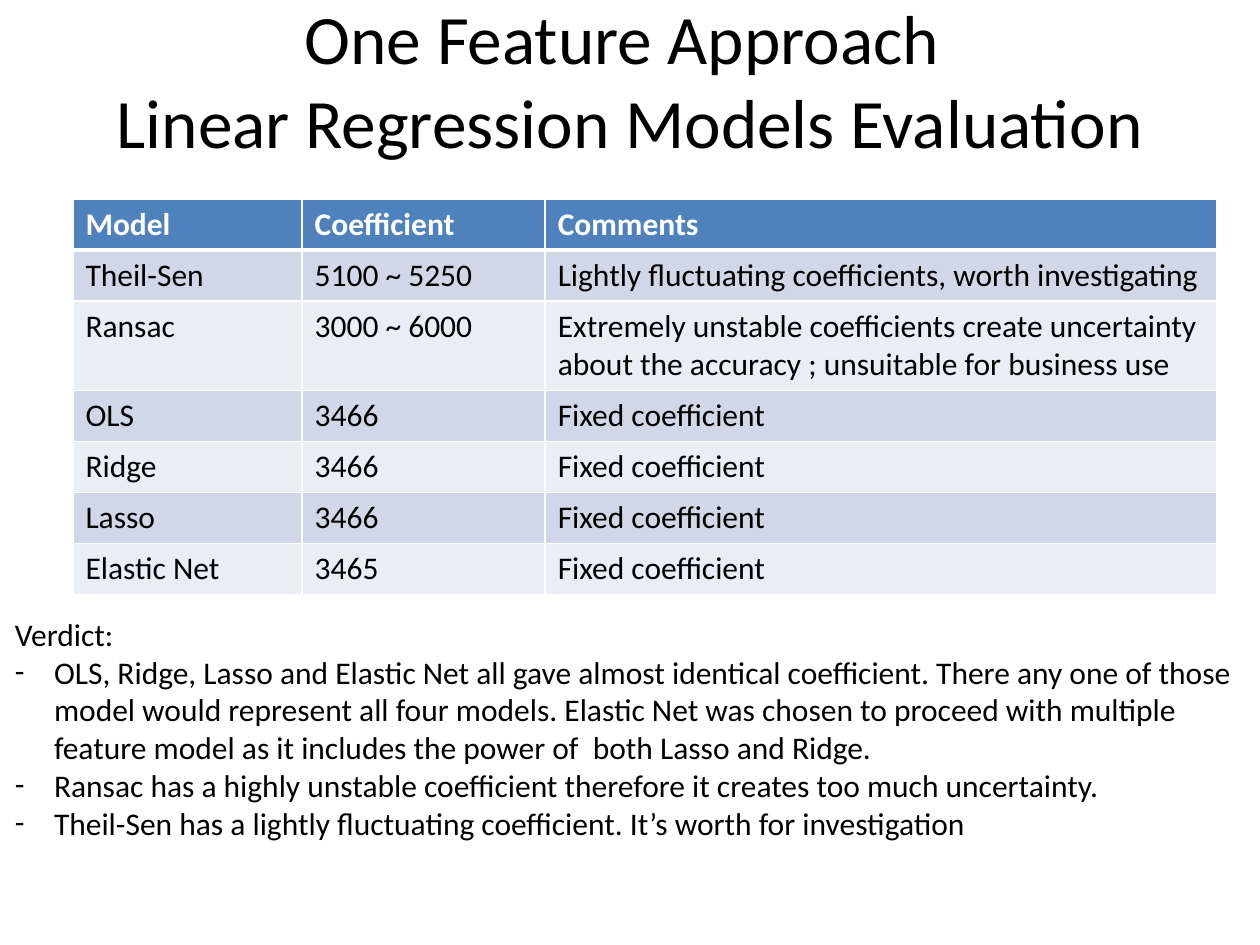
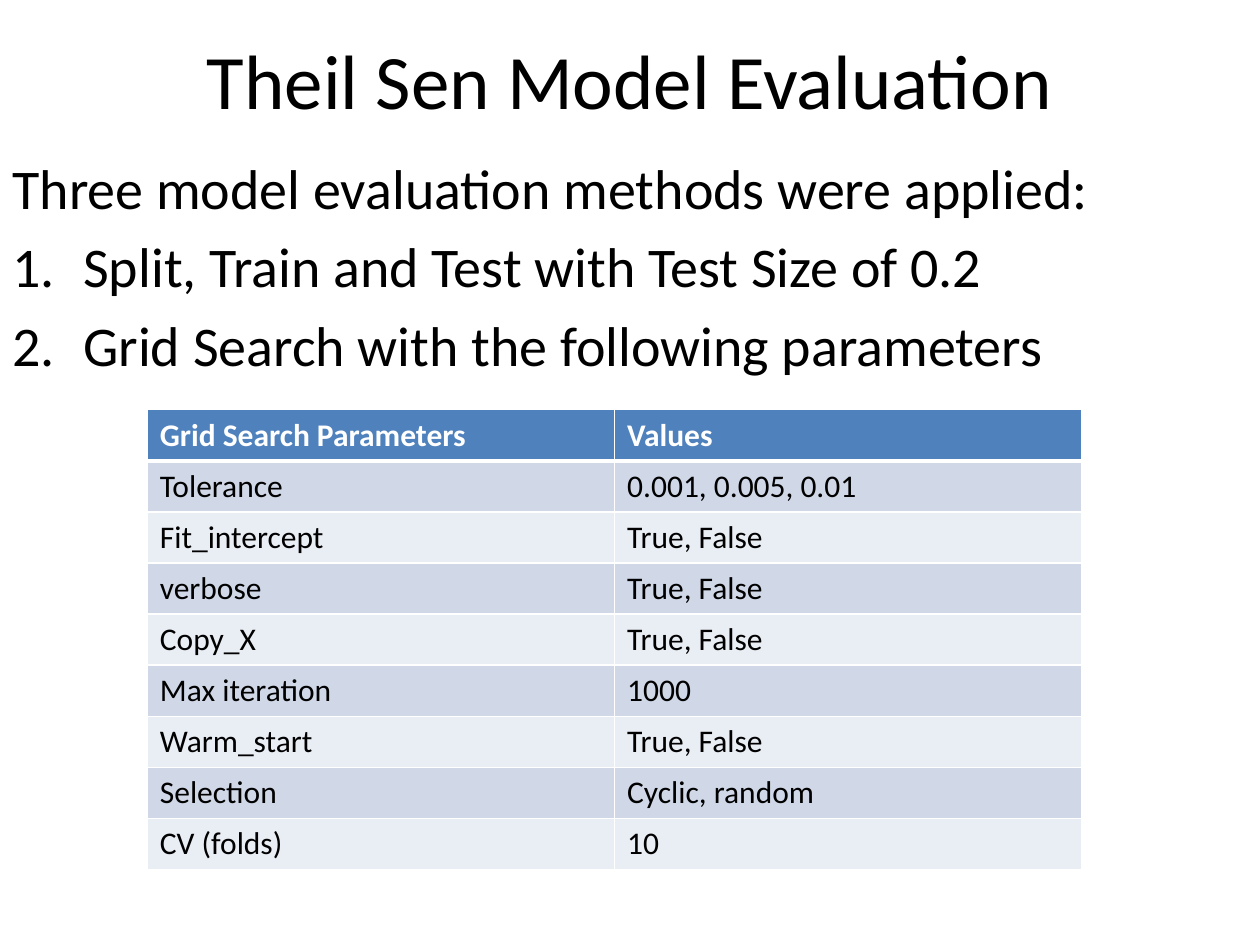
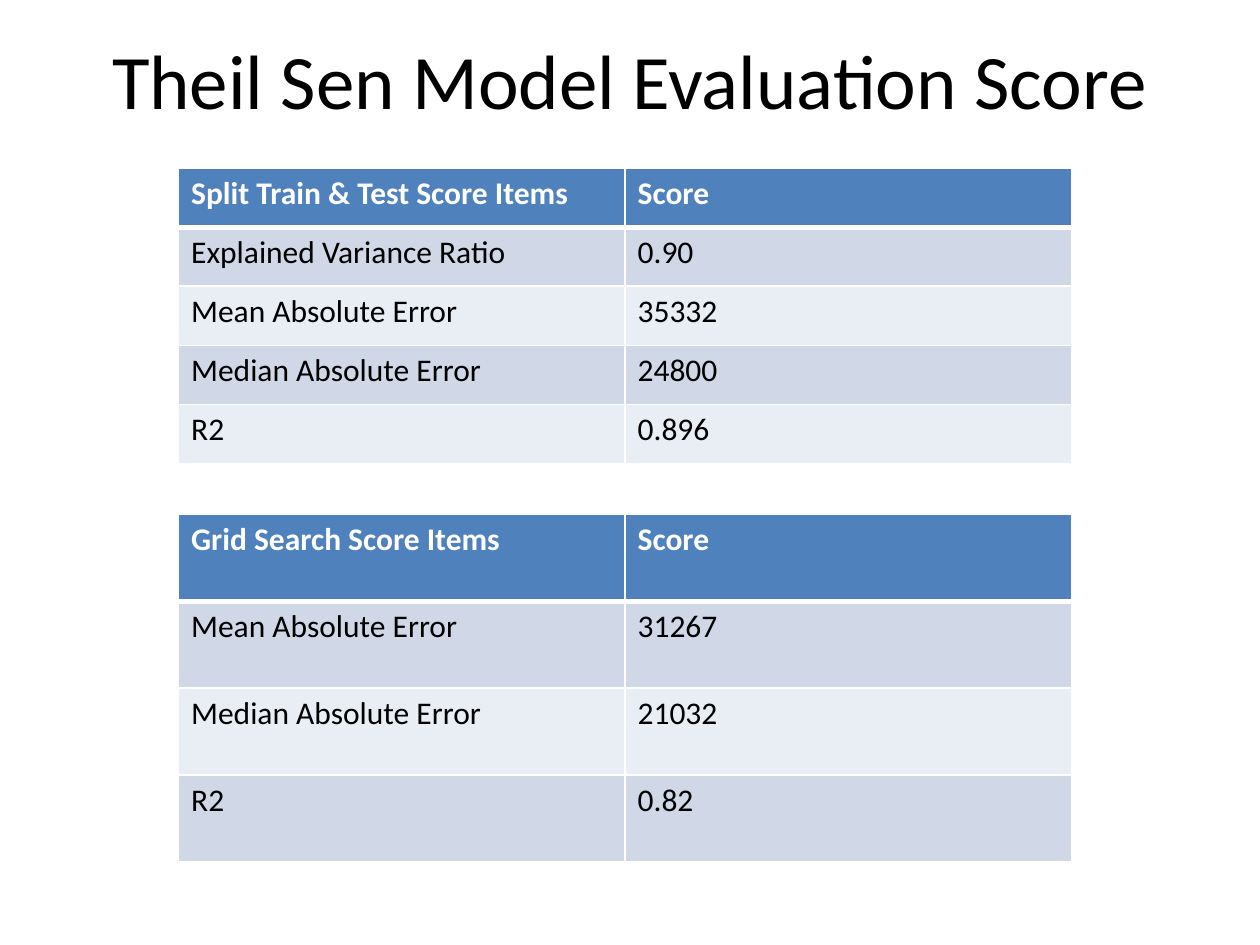
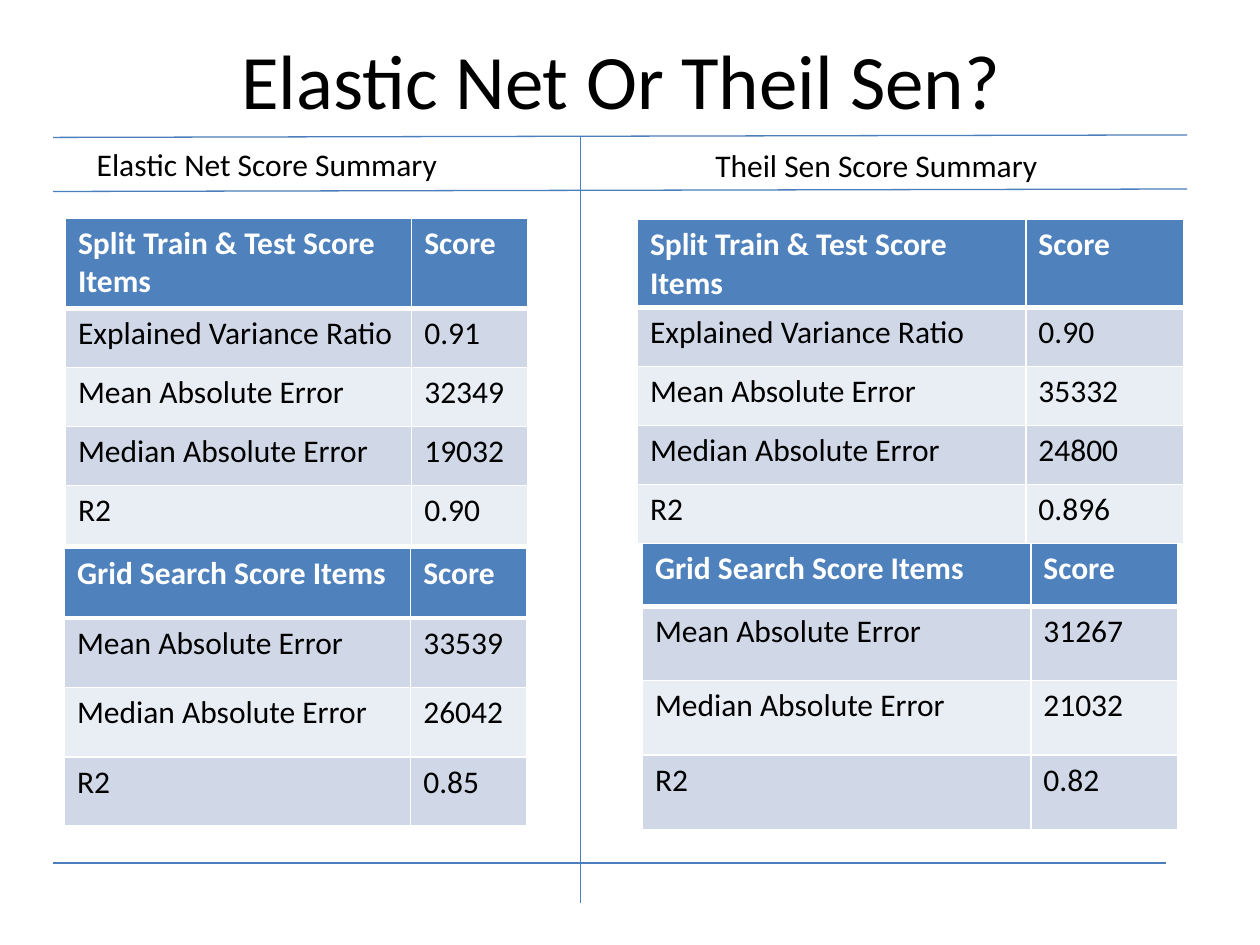
from dataclasses import dataclass
from typing import Any, Optional

import lxml.etree
import pptx
import pptx.dml.color
import pptx.enum.shapes
import pptx.enum.text
import pptx.oxml
import pptx.oxml.ns
import pptx.slide
import pptx.util
from pptx.util import Cm

Alignment = pptx.enum.text.PP_ALIGN
Anchor = pptx.enum.text.MSO_ANCHOR
AutoSize = pptx.enum.text.MSO_AUTO_SIZE


@dataclass(frozen=True)
class Theme:
    font: str = "Calibri"
    text: str = "000000"
    white: str = "FFFFFF"
    header: str = "4F81BD"
    bands: tuple[str, str] = ("D0D8E8", "E9EDF4")
    rule: str = "4B7EBC"
    title_size: float = 44
    long_title_size: float = 39.6
    body_size: float = 32
    small_size: float = 18
    border: float = 1
    header_border: float = 3
    rule_width: float = 0.75


THEME = Theme()


@dataclass(frozen=True)
class Box:
    """A place on the slide, in centimetres."""
    left: float
    top: float
    width: float
    height: float

    def lengths(self) -> tuple[int, ...]:
        return tuple(Cm(value) for value in (self.left, self.top, self.width, self.height))


@dataclass(frozen=True)
class Line:
    text: str
    bullet: Optional[str] = None
    indent: float = 0


@dataclass(frozen=True)
class TableSpec:
    """A banded table; lengths in centimetres, first row is the header."""
    left: float
    top: float
    columns: tuple[float, ...]
    rows: tuple[float, ...]
    cells: tuple[tuple[str, ...], ...]


@dataclass(frozen=True)
class Rule:
    start: tuple[float, float]
    end: tuple[float, float]


@dataclass(frozen=True)
class ModelScores:
    split: tuple[str, ...]
    grid: tuple[str, ...]


TITLE_BOX = Box(0, 0, 25.4, 3.18)
ELASTIC_NET = ModelScores(("0.91", "32349", "19032", "0.90"), ("33539", "26042", "0.85"))
THEIL_SEN = ModelScores(("0.90", "35332", "24800", "0.896"), ("31267", "21032", "0.82"))
GRID_ITEMS = ("Mean Absolute Error", "Median Absolute Error", "R2")
SPLIT_ITEMS = ("Explained Variance Ratio",) + GRID_ITEMS


def apply_format(target: Any, values: dict[str, Any]) -> None:
    for name, value in values.items():
        setattr(target, name, value)


def color(value: str) -> pptx.dml.color.RGBColor:
    return pptx.dml.color.RGBColor.from_string(value)


def add_xml(parent: Any, tag: str, **attributes: str) -> Any:
    element = lxml.etree.SubElement(parent, pptx.oxml.ns.qn(tag))
    for name, value in attributes.items():
        element.set(name, value)
    return element


def write_text(paragraph: Any, text: str, size: float, shade: str = THEME.text, bold: bool = False) -> None:
    paragraph.text = text
    for run in paragraph.runs:
        apply_format(run.font, {"name": THEME.font, "size": pptx.util.Pt(size), "bold": bold})
        run.font.color.rgb = color(shade)


def set_bullet(paragraph: Any, line: Line) -> None:
    """Give a hanging bullet; "1." means automatic numbers."""
    properties = paragraph._p.get_or_add_pPr()
    properties.set("marL", str(Cm(line.indent)))
    properties.set("indent", str(-Cm(line.indent)))
    add_xml(properties, "a:buFont", typeface=THEME.font)
    if line.bullet == "1.":
        add_xml(properties, "a:buAutoNum", type="arabicPeriod")
    else:
        add_xml(properties, "a:buChar", char=line.bullet)


def add_text(slide: pptx.slide.Slide, box: Box, lines: list[Line], size: float,
             frame_format: Optional[dict[str, Any]] = None,
             paragraph_format: Optional[dict[str, Any]] = None) -> None:
    frame = slide.shapes.add_textbox(*box.lengths()).text_frame
    apply_format(frame, {"word_wrap": True} | (frame_format or {}))
    for index, line in enumerate(lines):
        paragraph = frame.add_paragraph() if index else frame.paragraphs[0]
        write_text(paragraph, line.text, size)
        apply_format(paragraph, paragraph_format or {})
        if line.bullet:
            set_bullet(paragraph, line)


def add_titled_slide(presentation: Any, title: str, size: float = THEME.title_size) -> pptx.slide.Slide:
    slide = presentation.slides.add_slide(presentation.slide_layouts[6])
    add_text(slide, TITLE_BOX, [Line(title)], size,
             {"vertical_anchor": Anchor.MIDDLE}, {"alignment": Alignment.CENTER})
    return slide


def set_borders(cell: Any, row: int) -> None:
    """Draw white borders, with a thick one between header and body."""
    thick_sides = {0: "lnB", 1: "lnT"}
    properties = cell._tc.get_or_add_tcPr()
    for position, side in enumerate(("lnL", "lnR", "lnT", "lnB")):
        width = THEME.header_border if thick_sides.get(row) == side else THEME.border
        border = add_xml(properties, f"a:{side}", w=str(pptx.util.Pt(width)))
        add_xml(add_xml(border, "a:solidFill"), "a:srgbClr", val=THEME.white)
        properties.insert(position, border)


def add_table(slide: pptx.slide.Slide, spec: TableSpec) -> None:
    box = Box(spec.left, spec.top, sum(spec.columns), sum(spec.rows))
    table = slide.shapes.add_table(len(spec.rows), len(spec.columns), *box.lengths()).table
    for column, width in zip(table.columns, spec.columns):
        column.width = Cm(width)
    for index, (row, height, texts) in enumerate(zip(table.rows, spec.rows, spec.cells)):
        row.height = Cm(height)
        is_header = index == 0
        fill = THEME.header if is_header else THEME.bands[(index - 1) % 2]
        for cell, text in zip(row.cells, texts):
            cell.fill.solid()
            cell.fill.fore_color.rgb = color(fill)
            set_borders(cell, index)
            write_text(cell.text_frame.paragraphs[0], text, THEME.small_size,
                       THEME.white if is_header else THEME.text, is_header)


def split_table(left: float, top: float, columns: tuple[float, ...], header: float,
                scores: ModelScores) -> TableSpec:
    cells = (("Split Train & Test Score Items", "Score"), *zip(SPLIT_ITEMS, scores.split))
    return TableSpec(left, top, columns, (header,) + (1.19,) * 4, cells)


def grid_table(left: float, top: float, columns: tuple[float, ...], header: float,
               row: float, scores: ModelScores) -> TableSpec:
    cells = (("Grid Search Score Items", "Score"), *zip(GRID_ITEMS, scores.grid))
    return TableSpec(left, top, columns, (header,) + (row,) * 3, cells)


def add_rule(slide: pptx.slide.Slide, rule: Rule) -> None:
    ends = (Cm(value) for value in rule.start + rule.end)
    connector = slide.shapes.add_connector(pptx.enum.shapes.MSO_CONNECTOR.STRAIGHT, *ends)
    connector.line.width = pptx.util.Pt(THEME.rule_width)
    connector.line.color.rgb = color(THEME.rule)
    add_xml(connector._element.spPr, "a:effectLst")


def build_models_slide(presentation: Any) -> None:
    slide = add_titled_slide(
        presentation, "One Feature Approach \vLinear Regression Models Evaluation", THEME.long_title_size)
    fixed = "Fixed coefficient"
    add_table(slide, TableSpec(1.47, 4.01, (4.62, 4.9, 13.54), (1.03, 1.03, 1.8) + (1.03,) * 4, (
        ("Model", "Coefficient", "Comments"),
        ("Theil-Sen", "5100 ~ 5250", "Lightly fluctuating coefficients, worth investigating"),
        ("Ransac", "3000 ~ 6000", "Extremely unstable coefficients create uncertainty "
                                  "about the accuracy ; unsuitable for business use"),
        ("OLS", "3466", fixed),
        ("Ridge", "3466", fixed),
        ("Lasso", "3466", fixed),
        ("Elastic Net", "3465", fixed),
    )))
    reasons = (
        "OLS, Ridge, Lasso and Elastic Net all gave almost identical coefficient. There any one of "
        "those model would represent all four models. Elastic Net was chosen to proceed with "
        "multiple feature model as it includes the power of  both Lasso and Ridge.",
        "Ransac has a highly unstable coefficient therefore it creates too much uncertainty.",
        "Theil-Sen has a lightly fluctuating coefficient. It’s worth for investigation",
    )
    verdict = [Line("Verdict:")] + [Line(reason, "-", 0.79) for reason in reasons]
    add_text(slide, Box(0.05, 12.27, 25.2, 4.88), verdict, THEME.small_size,
             {"auto_size": AutoSize.SHAPE_TO_FIT_TEXT})


def build_methods_slide(presentation: Any) -> None:
    slide = add_titled_slide(presentation, "Theil Sen Model Evaluation")
    methods = [
        Line("Three model evaluation methods were applied:"),
        Line("Split, Train and Test with Test Size of 0.2", "1.", 1.43),
        Line("Grid Search with the following parameters", "1.", 1.43),
    ]
    add_text(slide, Box(0, 2.97, 25.4, 16.08), methods, THEME.body_size,
             paragraph_format={"space_before": pptx.util.Pt(THEME.body_size * 0.2)})
    either = "True, False"
    parameters = (
        ("Grid Search Parameters", "Values"),
        ("Tolerance", "0.001, 0.005, 0.01"),
        ("Fit_intercept", either),
        ("verbose", either),
        ("Copy_X", either),
        ("Max iteration", "1000"),
        ("Warm_start", either),
        ("Selection", "Cyclic, random"),
        ("CV (folds)", "10"),
    )
    add_table(slide, TableSpec(2.97, 8.26, (9.42, 9.42), (1.03,) * len(parameters), parameters))


def build_scores_slide(presentation: Any) -> None:
    slide = add_titled_slide(presentation, "Theil Sen Model Evaluation Score")
    columns = (9.0, 9.0)
    add_table(slide, grid_table(3.6, 10.37, columns, 1.75, 1.75, THEIL_SEN))
    add_table(slide, split_table(3.6, 3.39, columns, 1.19, THEIL_SEN))


def build_comparison_slide(presentation: Any) -> None:
    slide = add_titled_slide(presentation, "Elastic Net Or Theil Sen? ")
    left_columns = (6.98, 2.34)
    for table in (
        grid_table(12.95, 10.95, (7.83, 2.96), 1.27, 1.5, THEIL_SEN),
        split_table(12.85, 4.42, (7.83, 3.18), 1.76, THEIL_SEN),
        grid_table(1.3, 11.06, left_columns, 1.4, 1.4, ELASTIC_NET),
        split_table(1.32, 4.39, left_columns, 1.83, ELASTIC_NET),
    ):
        add_table(slide, table)
    for rule in (
        Rule((11.7, 2.74), (11.7, 18.21)),
        Rule((1.07, 3.86), (23.93, 3.81)),
        Rule((1.07, 17.4), (23.5, 17.4)),
        Rule((1.07, 2.77), (23.93, 2.72)),
    ):
        add_rule(slide, rule)
    for model, box in (("Elastic Net", Box(1.7, 2.79, 7.44, 1.02)),
                       ("Theil Sen", Box(14.17, 2.82, 7.09, 1.02))):
        add_text(slide, box, [Line(f"{model} Score Summary")], THEME.small_size,
                 {"word_wrap": False, "auto_size": AutoSize.SHAPE_TO_FIT_TEXT})


def main() -> None:
    presentation = pptx.Presentation()
    apply_format(presentation, {"slide_width": Cm(25.4), "slide_height": Cm(19.05)})
    for build in (build_models_slide, build_methods_slide, build_scores_slide, build_comparison_slide):
        build(presentation)
    presentation.save("out.pptx")


if __name__ == "__main__":
    main()
